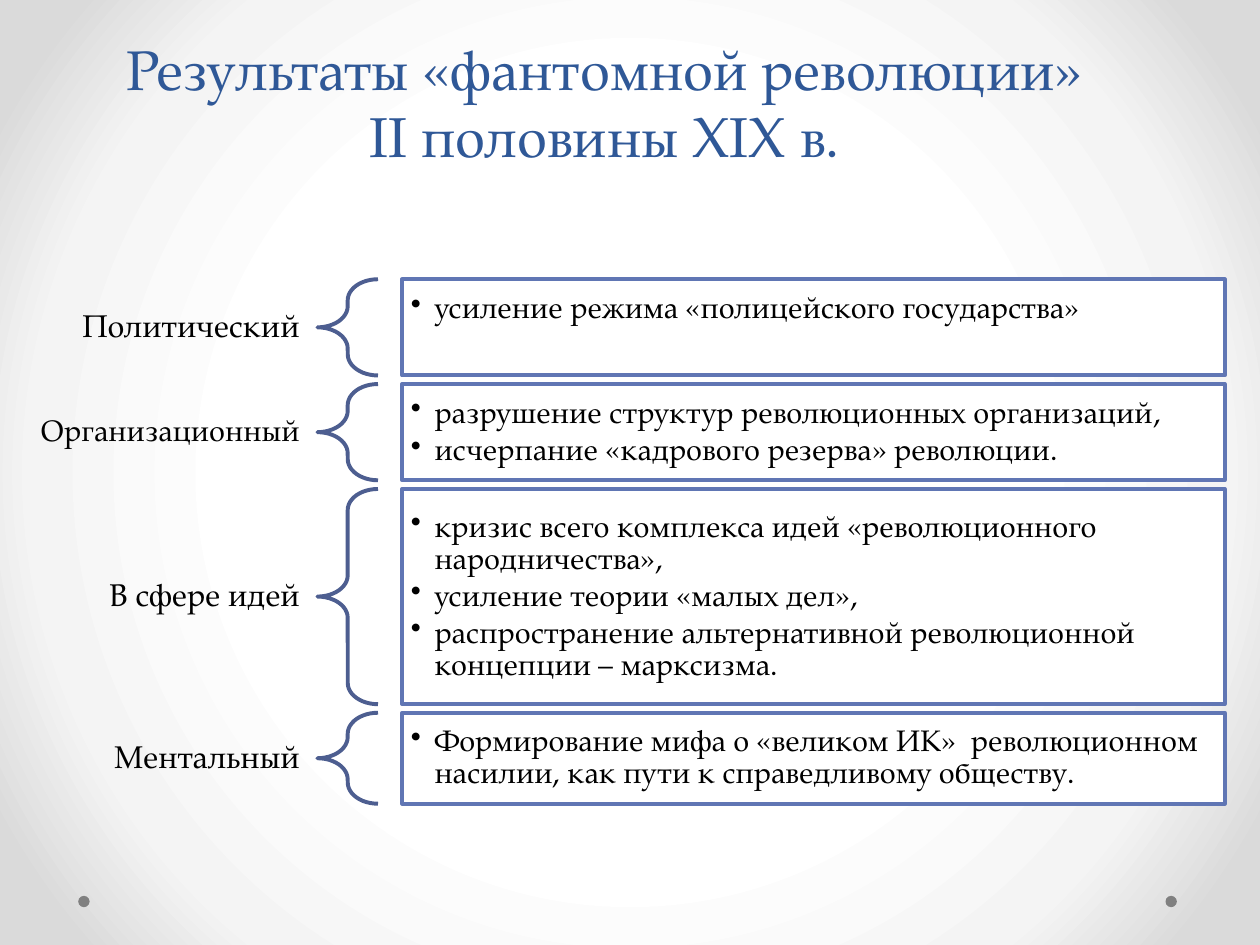
from dataclasses import dataclass

from pptx import Presentation
from pptx.dml.color import RGBColor
from pptx.enum.shapes import MSO_SHAPE
from pptx.enum.text import MSO_ANCHOR, MSO_AUTO_SIZE, PP_ALIGN
from pptx.oxml import parse_xml
from pptx.oxml.ns import nsdecls
from pptx.util import Pt


@dataclass(frozen=True)
class Theme:
    font: str = "TeX Gyre Pagella"
    title: str = "2F5897"
    text: str = "000000"
    box_fill: str = "FFFFFF"
    box_line: str = "6076B4"
    brace: str = "4D5E90"
    dot: str = "808080"
    glow: tuple = ((50, "FFFFFF"), (76, "F4F4F4"), (92, "DADADA"))
    title_size: float = 32
    label_size: float = 18
    body_size: float = 17
    line_width: float = 2.25
    line_spacing: float = 0.9


class SlideBuilder:
    def __init__(self, slide, theme):
        self.s = slide
        self.theme = theme

    def background(self):
        stops = "".join(
            f'<a:gs pos="{pos * 1000}"><a:srgbClr val="{color}"/></a:gs>'
            for pos, color in self.theme.glow)
        bg = parse_xml(
            f'<p:bg {nsdecls("p", "a")}><p:bgPr><a:gradFill rotWithShape="1">'
            f'<a:gsLst>{stops}</a:gsLst><a:path path="circle">'
            '<a:fillToRect l="50000" t="50000" r="50000" b="50000"/></a:path>'
            '</a:gradFill><a:effectLst/></p:bgPr></p:bg>')
        self.s.element.cSld.insert(0, bg)

    def run(self, p, text, size, color):
        r = p.add_run()
        r.text = text
        r.font.name = self.theme.font
        r.font.size = Pt(size)
        r.font.color.rgb = RGBColor.from_string(color)

    def frame(self, sp, anchor, insets):
        """Prepare a wrapping text frame; insets are left, top, right, bottom."""
        tf = sp.text_frame
        tf.word_wrap = True
        tf.auto_size = MSO_AUTO_SIZE.NONE
        tf.vertical_anchor = anchor
        (tf.margin_left, tf.margin_top,
         tf.margin_right, tf.margin_bottom) = map(Pt, insets)
        return tf

    def shape(self, kind, box, fill=None, line=None):
        sp = self.s.shapes.add_shape(kind, *map(Pt, box))
        sp.shadow.inherit = False
        if fill:
            sp.fill.solid()
            sp.fill.fore_color.rgb = RGBColor.from_string(fill)
        else:
            sp.fill.background()
        if line:
            sp.line.color.rgb = RGBColor.from_string(line)
            sp.line.width = Pt(self.theme.line_width)
        else:
            sp.line.fill.background()
        return sp

    def title(self, lines, box):
        sp = self.s.shapes.title
        sp.left, sp.top, sp.width, sp.height = map(Pt, box)
        tf = self.frame(sp, MSO_ANCHOR.BOTTOM, (7.2, 3.6, 7.2, 3.6))
        p = tf.paragraphs[0]
        p.alignment = PP_ALIGN.CENTER
        for i, line in enumerate(lines):
            if i:
                p.add_line_break()
            self.run(p, line, self.theme.title_size, self.theme.title)

    def label(self, text, box, size):
        sp = self.s.shapes.add_textbox(*map(Pt, box))
        tf = self.frame(sp, MSO_ANCHOR.MIDDLE, (10, 3.6, 10, 3.6))
        p = tf.paragraphs[0]
        p.alignment = PP_ALIGN.RIGHT
        p.line_spacing = self.theme.line_spacing
        self.run(p, text, size, self.theme.text)

    def brace(self, box):
        sp = self.shape(MSO_SHAPE.LEFT_BRACE, box, line=self.theme.brace)
        sp.adjustments[0] = 0.35
        sp.adjustments[1] = 0.5

    def bullet_box(self, items, box, spare=0):
        """Draw a bulleted box; spare is height left free under the text."""
        sp = self.shape(MSO_SHAPE.RECTANGLE, box,
                        self.theme.box_fill, self.theme.box_line)
        tf = self.frame(sp, MSO_ANCHOR.MIDDLE, (5, 5, 5, 5 + spare))
        for i, item in enumerate(items):
            p = tf.paragraphs[0] if i == 0 else tf.add_paragraph()
            p.alignment = PP_ALIGN.LEFT
            p.line_spacing = self.theme.line_spacing
            p.space_after = Pt(2.8)
            pPr = p._p.get_or_add_pPr()
            pPr.set("marL", str(Pt(13.5)))
            pPr.set("indent", str(-Pt(13.5)))
            pPr.append(parse_xml(
                f'<a:buClr {nsdecls("a")}><a:srgbClr val="{self.theme.text}"/></a:buClr>'))
            pPr.append(parse_xml(f'<a:buChar {nsdecls("a")} char="•"/>'))
            self.run(p, item, self.theme.body_size, self.theme.text)

    def dot(self, left, top):
        self.shape(MSO_SHAPE.OVAL, (left, top, 6.5, 6.5), fill=self.theme.dot)


def main():
    theme = Theme()
    prs = Presentation()
    prs.slide_width, prs.slide_height = Pt(720), Pt(540)
    slide = SlideBuilder(prs.slides.add_slide(prs.slide_layouts[5]), theme)

    slide.background()
    for left in (44.7, 666):
        slide.dot(left, 511.9)
    slide.title(("Результаты «фантомной революции»", "II половины XIX в."),
                (21.6, 15.1, 648, 85))

    # label, label size, row height, free height under the text, bullets
    rows = (
        ("Политический", theme.label_size, 55, 21,
         ("усиление режима «полицейского государства»",)),
        ("Организационный", theme.body_size, 55, 0,
         ("разрушение структур революционных организаций,",
          "исчерпание «кадрового резерва» революции.")),
        ("В сфере идей", theme.label_size, 123, 0,
         ("кризис всего комплекса идей «революционного народничества»,",
          "усиление теории «малых дел»,",
          "распространение альтернативной революционной концепции – марксизма.")),
        ("Ментальный", theme.label_size, 52, 0,
         ("Формирование мифа о «великом ИК»  революционном насилии, "
          "как пути к справедливому обществу.",)),
    )
    top, gap, label_height = 159.6, 4.9, 29.5
    for text, size, height, spare, items in rows:
        label_top = top + (height - label_height) / 2
        slide.label(text, (8.6, label_top, 172.8, label_height), size)
        slide.brace((181.4, top, 34.6, height))
        slide.bullet_box(items, (229.8, top, 470, height), spare)
        top += height + gap

    prs.save("out.pptx")


if __name__ == "__main__":
    main()
